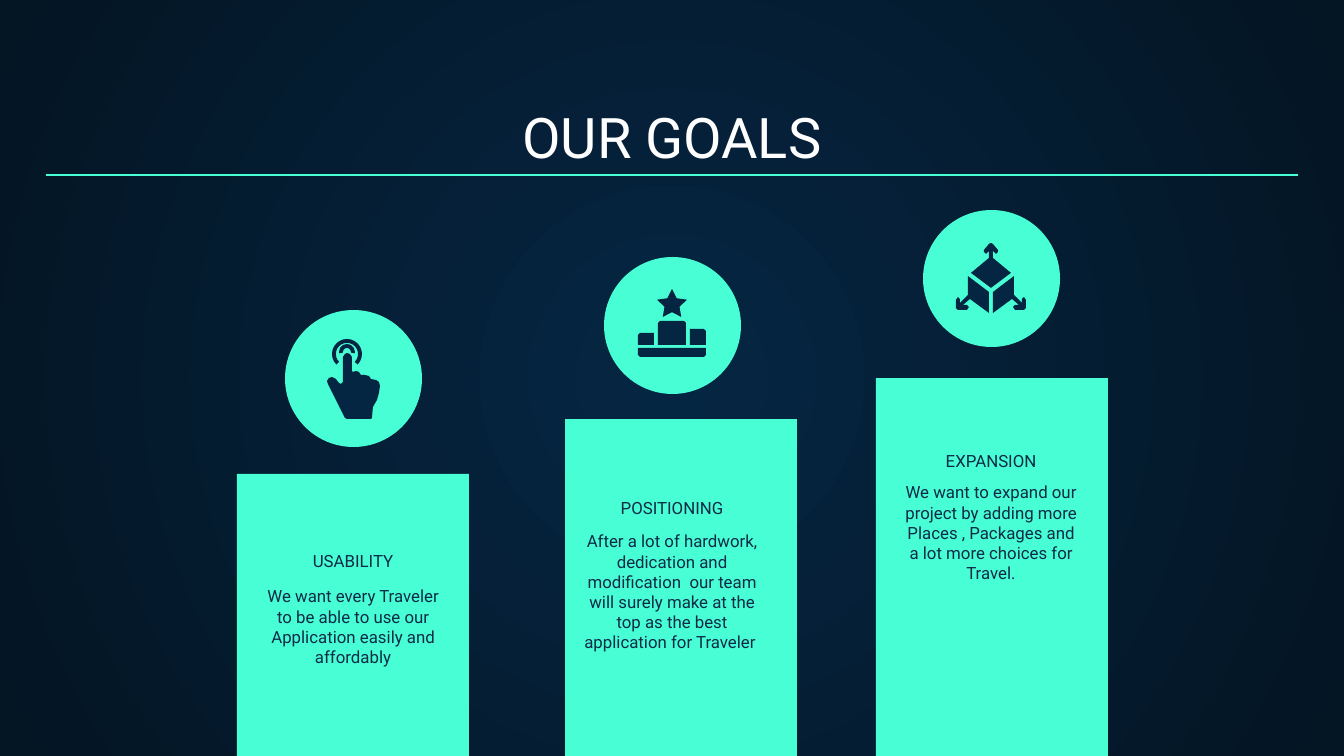
"""Build the OUR GOALS slide: three rising columns, each with an icon and text."""
import lxml.etree
import pptx
import pptx.dml.color
import pptx.enum.shapes
import pptx.enum.text
import pptx.oxml.ns
import pptx.util

HUES = {"mint": "48FFD5", "navy": "052643", "night": "041523",
        "ink": "0E2A47", "white": "FFFFFF"}
KIND = pptx.enum.shapes.MSO_SHAPE
ANCHOR = pptx.enum.text.MSO_ANCHOR

GOALS = [
    ("USABILITY", "We want every Traveler to be able to use our "
     "Application easily and affordably", 353, 379, 237, 474, 756, 573),
    ("POSITIONING", "After a lot of hardwork, dedication and modification  our "
     "team will surely make at the top as the best application for Traveler ",
     672, 326, 565, 419, 756, 518),
    ("EXPANSION", "We want to expand our project by adding more Places , "
     "Packages and a lot more choices for Travel.",
     991, 279, 876, 378, 762, 469),
]
HAND = [(343, 357), (345, 354), (347, 353), (350, 354), (352, 357), (352, 371),
        (353, 372), (356, 371), (359, 372), (361, 375), (365, 375), (369, 376),
        (371, 379), (376, 380), (379, 382), (380, 386), (379, 393), (377, 400),
        (373, 407), (372, 418), (371, 419), (347, 419), (345, 418), (328, 384),
        (327, 381), (329, 378), (332, 377), (336, 379), (339, 383), (341, 384),
        (343, 382)]
STEPS = [
    [(638, 345), (638, 335), (640, 333), (654, 333), (654, 345)],
    [(658, 345), (658, 323), (660, 321), (684, 321), (686, 323), (686, 345)],
    [(690, 345), (690, 329), (704, 329), (706, 331), (706, 345)],
    [(638, 348), (706, 348), (706, 355), (704, 357), (640, 357), (638, 355)],
]
AXIS = 991
LID = [(0, 243), (2, 244), (7, 250), (7, 252), (5, 254), (2, 251), (2, 258),
       (20, 273), (0, 288)]
SIDE = [(23, 276), (2, 292), (2, 313), (21, 299), (28, 305), (24, 305),
        (22, 307), (24, 310), (33, 310), (35, 308), (35, 300), (33, 297),
        (31, 299), (31, 303), (23, 295)]


class Deck:
    """Hold the style and the current slide."""

    def __init__(self, scale=914400 / 134.4, face="Roboto"):
        self.scale, self.face = scale, face
        self.show = pptx.Presentation()
        self.show.slide_width = self.emu(1344)
        self.show.slide_height = self.emu(756)
        self.slide = self.show.slides.add_slide(self.show.slide_layouts[4])
        self.shapes = self.slide.shapes
        self.slots = list(self.slide.placeholders)

    def emu(self, px):
        """Turn px into EMU."""
        return pptx.util.Emu(round(px * self.scale))

    def hue(self, name):
        """Look up a colour."""
        return pptx.dml.color.RGBColor.from_string(HUES[name])

    def glow(self, inner, outer):
        """Fill the background with a round gradient."""
        fill = self.slide.background.fill
        fill.gradient()
        for stop, name, place in zip(fill.gradient_stops, (inner, outer), (0, 1)):
            stop.color.rgb = self.hue(name)
            stop.position = place
        qn = pptx.oxml.ns.qn
        grad = self.slide.element.find(".//" + qn("a:gradFill"))
        grad.remove(grad.find(qn("a:lin")))
        ring = lxml.etree.SubElement(grad, qn("a:path"), path="circle")
        lxml.etree.SubElement(ring, qn("a:fillToRect"),
                              dict.fromkeys("ltrb", "50000"))

    def paint(self, shape, name):
        """Give a shape a flat fill."""
        shape.shadow.inherit = False
        shape.fill.solid()
        shape.fill.fore_color.rgb = self.hue(name)
        shape.line.fill.background()

    def block(self, kind, box, name, tune=()):
        """Add a preset shape."""
        shape = self.shapes.add_shape(kind, *map(self.emu, box))
        for spot, value in enumerate(tune):
            shape.adjustments[spot] = value
        self.paint(shape, name)

    def form(self, points, name="navy"):
        """Add a closed outline."""
        pen = self.shapes.build_freeform(*points[0], scale=self.scale)
        pen.add_line_segments(points[1:])
        self.paint(pen.convert_to_shape(), name)

    def rule(self, left, right, top, name):
        """Add a level line."""
        line = self.shapes.add_connector(
            pptx.enum.shapes.MSO_CONNECTOR.STRAIGHT,
            *map(self.emu, (left, top, right, top)))
        line.line.color.rgb = self.hue(name)
        line.line.width = pptx.util.Pt(0.75)
        lxml.etree.SubElement(line.element.spPr, pptx.oxml.ns.qn("a:effectLst"))

    def text(self, box, words, size, name, anchor, slot=None):
        """Write centred text in a placeholder or a new box."""
        spots = [self.emu(px) for px in box]
        if slot is None:
            slot = self.shapes.add_textbox(*spots)
        slot.left, slot.top, slot.width, slot.height = spots
        self.shapes.element.append(slot.element)
        frame = slot.text_frame
        frame.text = words
        frame.word_wrap = True
        frame.auto_size = pptx.enum.text.MSO_AUTO_SIZE.NONE
        frame.vertical_anchor = anchor
        frame.margin_left = frame.margin_right = self.emu(13)
        frame.margin_top = frame.margin_bottom = self.emu(13)
        para = frame.paragraphs[0]
        para.alignment = pptx.enum.text.PP_ALIGN.CENTER
        para.space_before = pptx.util.Pt(0)
        props = para._p.get_or_add_pPr()
        props.set("marL", "0")
        props.set("indent", "0")
        lxml.etree.SubElement(props, pptx.oxml.ns.qn("a:buNone"))
        font = para.font
        font.name, font.size, font.bold = self.face, pptx.util.Pt(size), False
        font.color.rgb = self.hue(name)


def twin(points, side):
    """Set points on one side of the cube's axis."""
    return [(AXIS + side * x, y) for x, y in points]


def main():
    """Draw the slide and save it."""
    deck = Deck()
    deck.glow("navy", "night")
    title, *slots, spare = deck.slots
    spare.element.getparent().remove(spare.element)
    deck.text((46, 94, 1252, 89), "OUR GOALS", 30, "white", ANCHOR.BOTTOM, title)
    for goal, slot in zip(GOALS, slots):
        head, note, mid, hub, left, top, foot, base = goal
        deck.block(KIND.RECTANGLE, (left, top, 232, foot - top), "mint")
        deck.text((mid - 102, base, 204, 74), note, 9, "ink", ANCHOR.TOP, slot)
        deck.text((mid - 152, hub + 177, 304, 28), head, 9, "ink", ANCHOR.BOTTOM)
        deck.block(KIND.OVAL, (mid - 68, hub - 69, 137, 137), "mint")
    deck.block(KIND.BLOCK_ARC, (332, 339, 30, 30), "navy", (81, 27, 0.13))
    deck.block(KIND.BLOCK_ARC, (339, 344, 16, 16), "navy", (102, 6, 0.25))
    deck.block(KIND.STAR_5_POINT, (657, 289, 30, 28), "navy", (0.25,))
    for points in [HAND, *STEPS]:
        deck.form(points)
    deck.form(twin(LID, 1) + twin(LID[-2:0:-1], -1))
    for side in (1, -1):
        deck.form(twin(SIDE, side))
    deck.rule(46, 1298, 175, "mint")
    deck.show.save("out.pptx")


if __name__ == "__main__":
    main()
